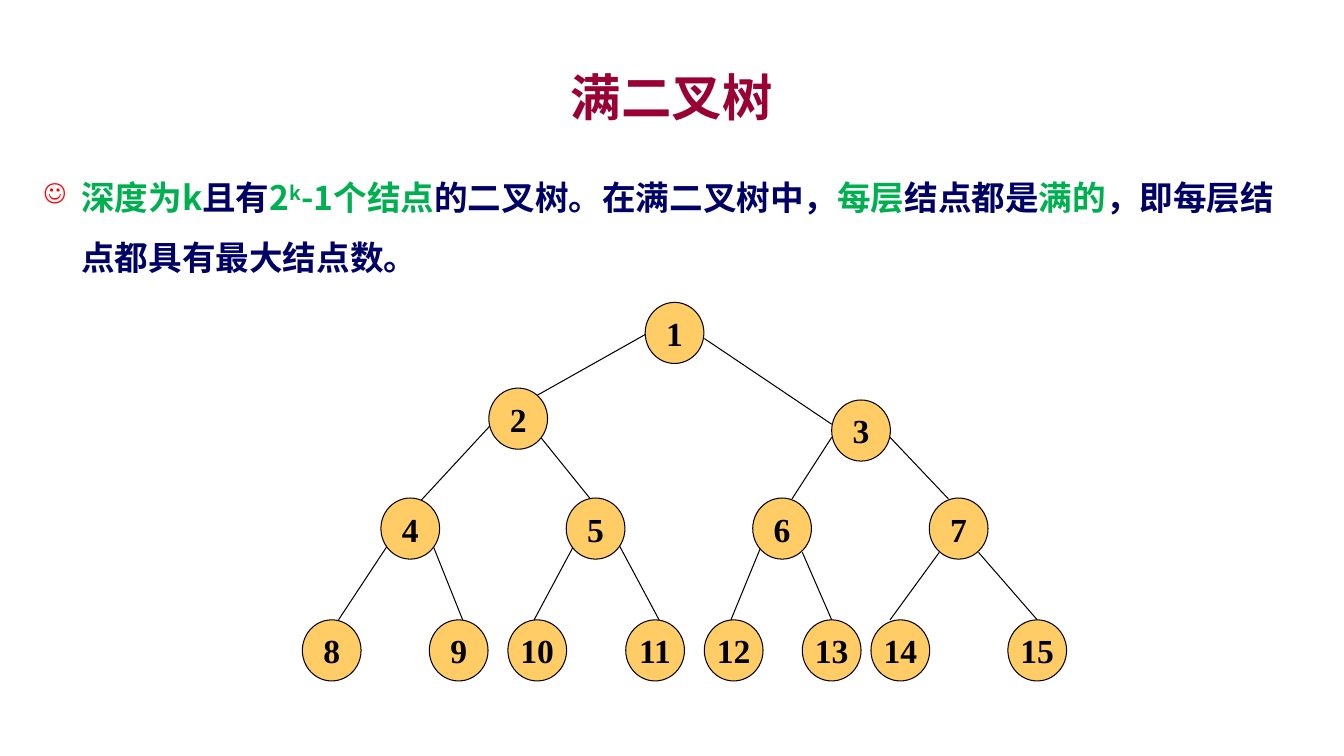
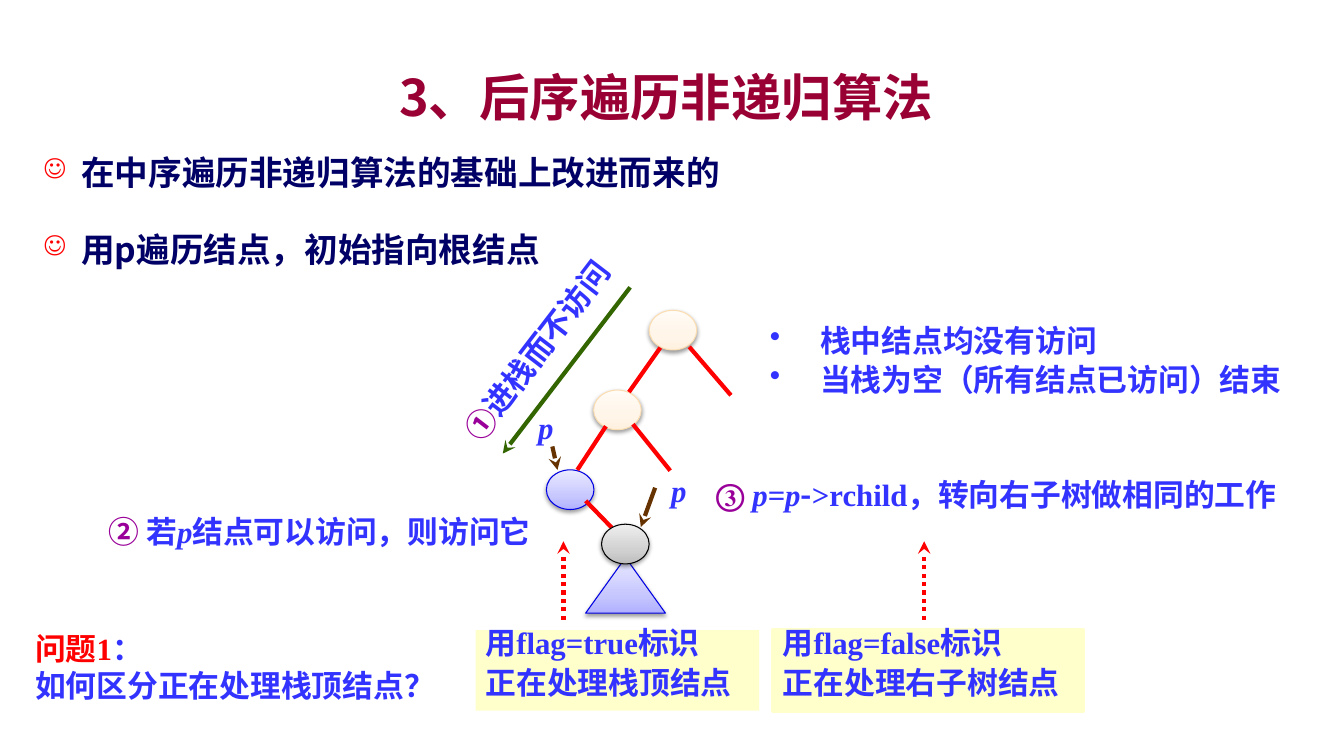
from lxml import etree
from pptx import Presentation
from pptx import util as u
from pptx.dml.color import RGBColor
from pptx.enum import dml, shapes, text
from pptx.oxml import ns

SANS, SERIF = "Noto Sans CJK SC", "Times New Roman"
MAROON, NAVY, GREEN, BLUE = "990033", "000066", "00B050", "3333FF"
PURPLE, RED, BROWN, FOREST = "990099", "FF0000", "663300", "336600"
ORANGE, YELLOW, BLACK = "FFCC66", "FFFFCC", "000000"
SHAPE = shapes.MSO_SHAPE
LEFT, CENTER = text.PP_ALIGN.LEFT, text.PP_ALIGN.CENTER
TOP, MIDDLE = text.MSO_ANCHOR.TOP, text.MSO_ANCHOR.MIDDLE

# Content: a paragraph is a list of (text, run format) pairs; lengths are in cm
FULL_TREE_TITLE = "满二叉树"
FULL_TREE_BODY = [[
    ("深度为k", {"color": GREEN}), ("且有", {}), ("2", {"color": GREEN}),
    ("k", {"color": GREEN, "raised": True}), ("-1个结点", {"color": GREEN}),
    ("的二叉树。在满二叉树中，", {}), ("每层", {"color": GREEN}), ("结点都是", {}),
    ("满的", {"color": GREEN}), ("，即每层结点都具有最大结点数。", {})]]
TREE_NODE = (1.48, 1.54)
TREE_NODES = [  # left, top; numbered from 1
    (16.26, 7.62),
    (12.32, 9.78), (20.96, 10.08),
    *[(x, 12.55) for x in (9.6, 14.27, 18.97, 23.42)],
    *[(x, 15.62) for x in (7.62, 10.82, 12.8, 15.77, 17.75, 20.22, 21.95, 25.4)]]
TREE_EDGES = [  # from x, y to x, y
    (16.26, 8.43, 13.54, 9.96), (17.75, 8.53, 20.96, 10.69),
    (12.34, 10.74, 10.62, 12.6), (13.61, 11, 14.86, 12.55),
    (20.96, 11.02, 19.96, 12.57), (22.43, 11.02, 23.9, 12.57),
    (9.75, 13.77, 8.53, 15.62), (10.92, 13.77, 11.66, 15.62),
    (14.45, 13.77, 13.46, 15.62), (15.62, 13.77, 16.61, 15.62),
    (19.18, 13.77, 18.42, 15.62), (20.22, 13.92, 20.96, 15.62),
    (23.67, 13.92, 22.43, 15.62), (24.66, 13.92, 26.14, 15.62)]

POSTORDER_TITLE = "3、后序遍历非递归算法 "
POSTORDER_BODY = ["在中序遍历非递归算法的基础上改进而来的", "用p遍历结点，初始指向根结点"]
PEACH_SHADES = ("FFF1DF", "FFF5E8", "FFFBF6")
BLUE_SHADES = ("B1B1FF", "C8C8FF", "EAEAFF")
GREY_SHADES = ("BDBDBD", "D1D1D1", "EEEEEE")
STACK_NODE = (1.2, 1)
STACK_NODES = [(16.36, 7.82, PEACH_SHADES, "FBDDB2"), (14.96, 9.83, PEACH_SHADES, "FBDDB2"),
               (13.77, 11.84, BLUE_SHADES, "0000E2")]
STACK_EDGES = [
    (16.64, 8.76, 15.85, 9.88), (15.27, 10.74, 14.55, 11.84), (17.37, 8.74, 18.42, 9.96),
    (15.95, 10.69, 16.89, 11.86), (14.76, 12.62, 15.75, 13.64)]
POINTERS = [  # arrow, label place
    ((13.92, 11.25, 14.05, 11.84), (13.36, 10.29, 0.79, 0.94)),
    ((16.51, 12.29, 16.15, 13.28), (16.71, 11.89, 0.79, 0.94))]
ITALIC = {"italic": True}
MARK = {"color": PURPLE}
STEP_PUSH = [[("①", MARK), ("进栈而不访问", {})]]
STEP_VISIT = [[("② ", MARK), ("若", {}), ("p", ITALIC), ("结点可以访问，则访问它", {})]]
STEP_RIGHT = [[("③ ", MARK), ("p", ITALIC), ("=", {}), ("p", ITALIC), ("-", {"font": SANS}),
               (">rchild，转向右子树做相同的工作", {})]]
STACK_FACTS = ["栈中结点均没有访问", "当栈为空（所有结点已访问）结束"]
QUESTION = [[("问题1", {"color": RED}), ("：", {})], "如何区分正在处理栈顶结点？"]
FLAGS = [  # place, arrow x, text, outline
    ((11.99, 15.88, 7.14, 2.03), 14.2, ["用flag=true标识", "正在处理栈顶结点"], None),
    ((19.48, 15.88, 7.82, 2.03), 23.29, ["用flag=false标识", "正在处理右子树结点"], YELLOW)]


def rgb(color):
    return RGBColor.from_string(color)


def cm(*lengths):
    return [u.Cm(length) for length in lengths]


def element(parent, tag, **attributes):
    return etree.SubElement(parent, ns.qn(tag), attributes)


def add_run(paragraph, words, size, font, color, italic=False, raised=False):
    run = paragraph.add_run()
    run.text = words
    run.font.size, run.font.bold, run.font.italic = u.Pt(size), True, italic
    run.font.color.rgb = rgb(color)
    run.font.name = font
    properties = run.font._element
    element(properties, "a:ea", typeface=SANS)
    if raised:
        properties.set("baseline", "30000")


def add_bullet(paragraph, char, indent, color=None, percent=100):
    properties = paragraph._p.get_or_add_pPr()
    properties.set("marL", str(u.Cm(indent)))
    properties.set("indent", str(-u.Cm(indent)))
    if color:
        element(element(properties, "a:buClr"), "a:srgbClr", val=color)
    element(properties, "a:buSzPct", val=str(percent * 1000))
    element(properties, "a:buChar", char=char)


def write(shape, paragraphs, size=22, font=SERIF, color=BLUE, align=LEFT, anchor=TOP,
          inset=(0.25, 0.13), wrap=True, spacing=None, before=0, after=0, bullet=None):
    frame = shape.text_frame
    frame.word_wrap, frame.vertical_anchor = wrap, anchor
    frame.margin_left = frame.margin_right = u.Cm(inset[0])
    frame.margin_top = frame.margin_bottom = u.Cm(inset[1])
    for index, runs in enumerate(paragraphs):
        paragraph = frame.add_paragraph() if index else frame.paragraphs[0]
        if bullet:
            add_bullet(paragraph, **bullet)
        paragraph.alignment = align
        paragraph.space_before = u.Pt(before if index else 0)
        paragraph.space_after = u.Pt(after)
        if spacing:
            paragraph.line_spacing = spacing
        for words, look in [(runs, {})] if isinstance(runs, str) else runs:
            add_run(paragraph, words, **{"size": size, "font": font, "color": color, **look})
    return shape


def add_text(slide, place, paragraphs, **look):
    return write(slide.shapes.add_textbox(*cm(*place)), paragraphs, **look)


def add_shape(slide, kind, place, fill, outline=None, width=0.75):
    shape = slide.shapes.add_shape(kind, *cm(*place))
    shape.shadow.inherit = False
    if isinstance(fill, str):
        shape.fill.solid()
        shape.fill.fore_color.rgb = rgb(fill)
    else:
        shade(shape, fill)
    if outline:
        shape.line.color.rgb, shape.line.width = rgb(outline), u.Pt(width)
    else:
        shape.line.fill.background()
    return shape


def shade(shape, colors):
    """Three-stop vertical gradient with a soft shadow below."""
    shape.fill.gradient()
    shape.fill.gradient_angle = 90
    properties = shape._element.spPr
    stops = properties.find(".//" + ns.qn("a:gsLst"))
    for stop in list(stops):
        stops.remove(stop)
    for percent, color in zip((0, 35, 100), colors):
        element(element(stops, "a:gs", pos=str(percent * 1000)), "a:srgbClr", val=color)
    shadow = element(properties.find(ns.qn("a:effectLst")), "a:outerShdw",
                     blurRad=str(u.Pt(3.1)), dist=str(u.Pt(1.6)), dir="5400000", rotWithShape="0")
    element(element(shadow, "a:srgbClr", val=BLACK), "a:alpha", val="38000")


def add_line(slide, ends, color, width=3, arrow=False, dash=None):
    line = slide.shapes.add_connector(shapes.MSO_CONNECTOR.STRAIGHT, *cm(*ends))
    line.line.color.rgb, line.line.width = rgb(color), u.Pt(width)
    if dash:
        line.line.dash_style = dash
    if arrow:
        element(line.line._get_or_add_ln(), "a:tailEnd", type="stealth")
    element(line._element.spPr, "a:effectLst")


def add_slide(deck, title, body, body_place):
    slide = deck.slides.add_slide(deck.slide_layouts[6])
    add_text(slide, (2.54, 1.47, 28.78, 1.9), [title], size=36, font=SANS, color=MAROON,
             align=CENTER, anchor=MIDDLE)
    add_text(slide, body_place, body, size=24, font=SANS, color=NAVY, spacing=1.5,
             before=6, after=6,
             bullet={"char": "☺", "indent": 0.95, "color": RED, "percent": 80})
    return slide


def full_tree(deck):
    slide = add_slide(deck, FULL_TREE_TITLE, FULL_TREE_BODY, (0.85, 3.81, 32.17, 3.39))
    for ends in TREE_EDGES:
        add_line(slide, ends, BLACK, width=0.75)
    for number, corner in enumerate(TREE_NODES, 1):
        node = add_shape(slide, SHAPE.OVAL, corner + TREE_NODE, ORANGE, BLACK)
        write(node, [str(number)], size=24, color=BLACK, align=CENTER, anchor=MIDDLE, wrap=False)


def postorder(deck):
    slide = add_slide(deck, POSTORDER_TITLE, POSTORDER_BODY, (0.85, 3.18, 32.17, 3.6))
    # Tree with its right subtree
    for x, y, shades, outline in STACK_NODES:
        add_shape(slide, SHAPE.OVAL, (x, y, *STACK_NODE), shades, outline)
    for ends in STACK_EDGES:
        add_line(slide, ends, RED)
    add_shape(slide, SHAPE.ISOSCELES_TRIANGLE, (14.76, 14.05, 2.01, 1.4), BLUE_SHADES, "0000E2")
    add_shape(slide, SHAPE.OVAL, (15.16, 13.21, *STACK_NODE), GREY_SHADES, BLACK)
    # Pointers and steps
    for ends, place in POINTERS:
        add_line(slide, ends, BROWN, arrow=True)
        add_text(slide, place, [[("p", ITALIC)]], align=CENTER, inset=(0, 0))
    add_line(slide, (15.88, 7.24, 12.67, 11.43), FOREST, arrow=True)
    add_text(slide, (10.44, 8.23, 6.17, 1.19), STEP_PUSH, align=CENTER).rotation = 307.4
    add_text(slide, (2.74, 12.93, 11.84, 0.94), STEP_VISIT, inset=(0, 0))
    add_text(slide, (17.7, 11.99, 14.81, 0.94), STEP_RIGHT, align=CENTER, inset=(0, 0))
    add_text(slide, (19.15, 7.92, 14.07, 2.18), STACK_FACTS, spacing=u.Pt(28),
             bullet={"char": "•", "indent": 1.27})
    # Question and the two flag values
    add_text(slide, (0.64, 15.75, 11, 2.13), QUESTION)
    for place, x, words, outline in FLAGS:
        box = add_shape(slide, SHAPE.RECTANGLE, place, YELLOW, outline, width=3)
        write(box, words, spacing=u.Pt(18), before=11)
        add_line(slide, (x, 15.62, x, 13.64), RED, arrow=True,
                 dash=dml.MSO_LINE.ROUND_DOT)


def main():
    deck = Presentation()
    deck.slide_width, deck.slide_height = cm(33.87, 19.05)
    full_tree(deck)
    postorder(deck)
    deck.save("out.pptx")


if __name__ == "__main__":
    main()
